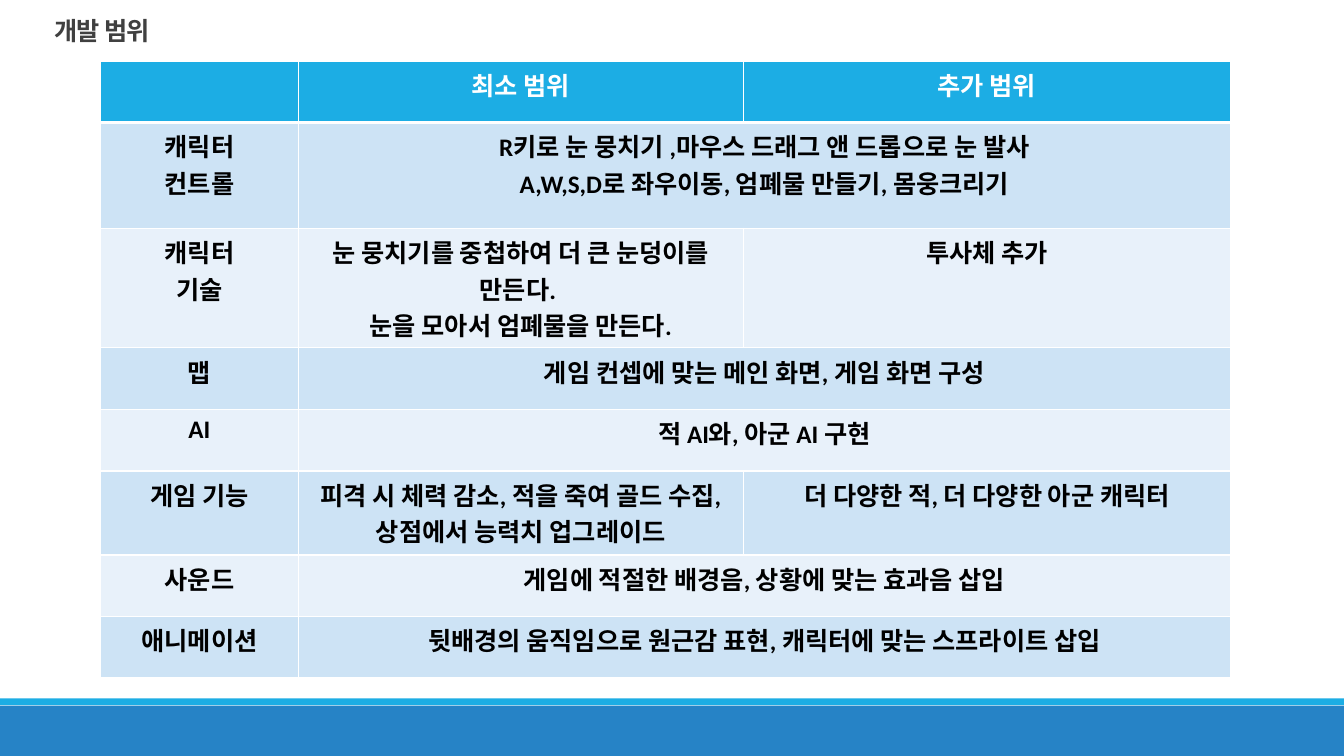
import dataclasses

import pptx
import pptx.dml.color
import pptx.enum.shapes
import pptx.enum.text
import pptx.oxml
import pptx.oxml.ns
import pptx.util

GRID_COLUMNS, GRID_ROWS = 160, 90
CENTER = pptx.enum.text.PP_ALIGN.CENTER
LEFT = pptx.enum.text.PP_ALIGN.LEFT


@dataclasses.dataclass(frozen=True)
class Theme:
    font: str = "Calibri"
    size: int = 18
    title: str = "404040"
    body: str = "000000"
    white: str = "FFFFFF"
    accent: str = "1CADE4"
    footer: str = "2683C6"
    bands: tuple = ("CDE3F5", "E8F1FA")
    rule: int = 1
    header_rule: int = 3


class SlideBuilder:
    def __init__(self, deck, theme):
        self.theme = theme
        self.slide = deck.slides.add_slide(deck.slide_layouts[6])
        self.column = deck.slide_width / GRID_COLUMNS
        self.row = deck.slide_height / GRID_ROWS

    def place(self, left, top, width, height):
        return (round(left * self.column), round(top * self.row),
                round(width * self.column), round(height * self.row))

    def paint(self, target, color):
        target.fill.solid()
        target.fill.fore_color.rgb = pptx.dml.color.RGBColor.from_string(color)

    def set_text(self, frame, text, color, align):
        frame.word_wrap = True
        frame.text = text
        style = {"name": self.theme.font, "size": pptx.util.Pt(self.theme.size), "bold": True}
        for paragraph in frame.paragraphs:
            paragraph.alignment = align
            for run in paragraph.runs:
                for key, value in style.items():
                    setattr(run.font, key, value)
                run.font.color.rgb = pptx.dml.color.RGBColor.from_string(color)

    def band(self, place, color):
        strip = self.slide.shapes.add_shape(
            pptx.enum.shapes.MSO_SHAPE.RECTANGLE, *self.place(*place))
        strip.shadow.inherit = False
        self.paint(strip, color)
        strip.line.fill.background()

    def title(self, place, text):
        frame = self.slide.shapes.add_textbox(*self.place(*place)).text_frame
        self.set_text(frame, text, self.theme.title, LEFT)
        frame.vertical_anchor = pptx.enum.text.MSO_ANCHOR.BOTTOM
        heading = frame.paragraphs[0]
        heading.line_spacing = 0.85
        heading.runs[0].font._element.set("spc", "-50")

    def border(self, cell, widths):
        properties = cell._tc.get_or_add_tcPr()
        for position, (side, width) in enumerate(widths.items()):
            edge = pptx.oxml.parse_xml(
                f'<a:ln{side} {pptx.oxml.ns.nsdecls("a")} w="{pptx.util.Pt(width)}">'
                f'<a:solidFill><a:srgbClr val="{self.theme.white}"/></a:solidFill></a:ln{side}>')
            properties.insert(position, edge)

    def table(self, left, top, widths, heights, content):
        grid = self.slide.shapes.add_table(
            len(heights), len(widths),
            *self.place(left, top, sum(widths), sum(heights))).table
        for column, width in zip(grid.columns, widths):
            column.width = round(width * self.column)
        for row, height in zip(grid.rows, heights):
            row.height = round(height * self.row)
        for index, texts in enumerate(content):
            header = index == 0
            fill = self.theme.accent if header else self.theme.bands[(index - 1) % 2]
            color = self.theme.white if header else self.theme.body
            rules = dict.fromkeys("LRTB", self.theme.rule)
            if index < 2:
                rules["B" if header else "T"] = self.theme.header_rule
            for cell in grid.rows[index].cells:
                self.paint(cell, fill)
                self.border(cell, rules)
            for position, text in enumerate(texts):
                if text:
                    self.set_text(grid.cell(index, position).text_frame, text, color, CENTER)
            if len(texts) < len(widths):
                grid.cell(index, len(texts) - 1).merge(grid.cell(index, len(widths) - 1))


SCOPE = [
    ("", "최소 범위", "추가 범위"),
    ("캐릭터\n컨트롤",
     "R키로 눈 뭉치기 ,마우스 드래그 앤 드롭으로 눈 발사\n"
     "A,W,S,D로 좌우이동, 엄폐물 만들기, 몸웅크리기"),
    ("캐릭터\n기술",
     "눈 뭉치기를 중첩하여 더 큰 눈덩이를 만든다. \n눈을 모아서 엄폐물을 만든다.",
     "투사체 추가"),
    ("맵", "게임 컨셉에 맞는 메인 화면, 게임 화면 구성"),
    ("AI", "적 AI와, 아군 AI 구현"),
    ("게임 기능",
     "피격 시 체력 감소, 적을 죽여 골드 수집, 상점에서 능력치 업그레이드",
     "더 다양한 적, 더 다양한 아군 캐릭터"),
    ("사운드", "게임에 적절한 배경음, 상황에 맞는 효과음 삽입"),
    ("애니메이션", "뒷배경의 움직임으로 원근감 표현, 캐릭터에 맞는 스프라이트 삽입"),
]
SINGLE = 7.33
COLUMN_WIDTHS = [23.5, 53, 58]
ROW_HEIGHTS = [SINGLE, 12.6, 14.15, SINGLE, SINGLE, 10, SINGLE, SINGLE]

deck = pptx.Presentation()
deck.slide_width = pptx.util.Inches(13.33)
deck.slide_height = pptx.util.Inches(7.5)

theme = Theme()
scope_slide = SlideBuilder(deck, theme)
scope_slide.band((0, 84, GRID_COLUMNS, 6), theme.footer)
scope_slide.band((0, 83.15, GRID_COLUMNS, 0.8), theme.accent)
scope_slide.table(12, 7.25, COLUMN_WIDTHS, ROW_HEIGHTS, SCOPE)
scope_slide.title((5.3, 1.55, 103.5, 4.45), "개발 범위")

deck.save("out.pptx")
